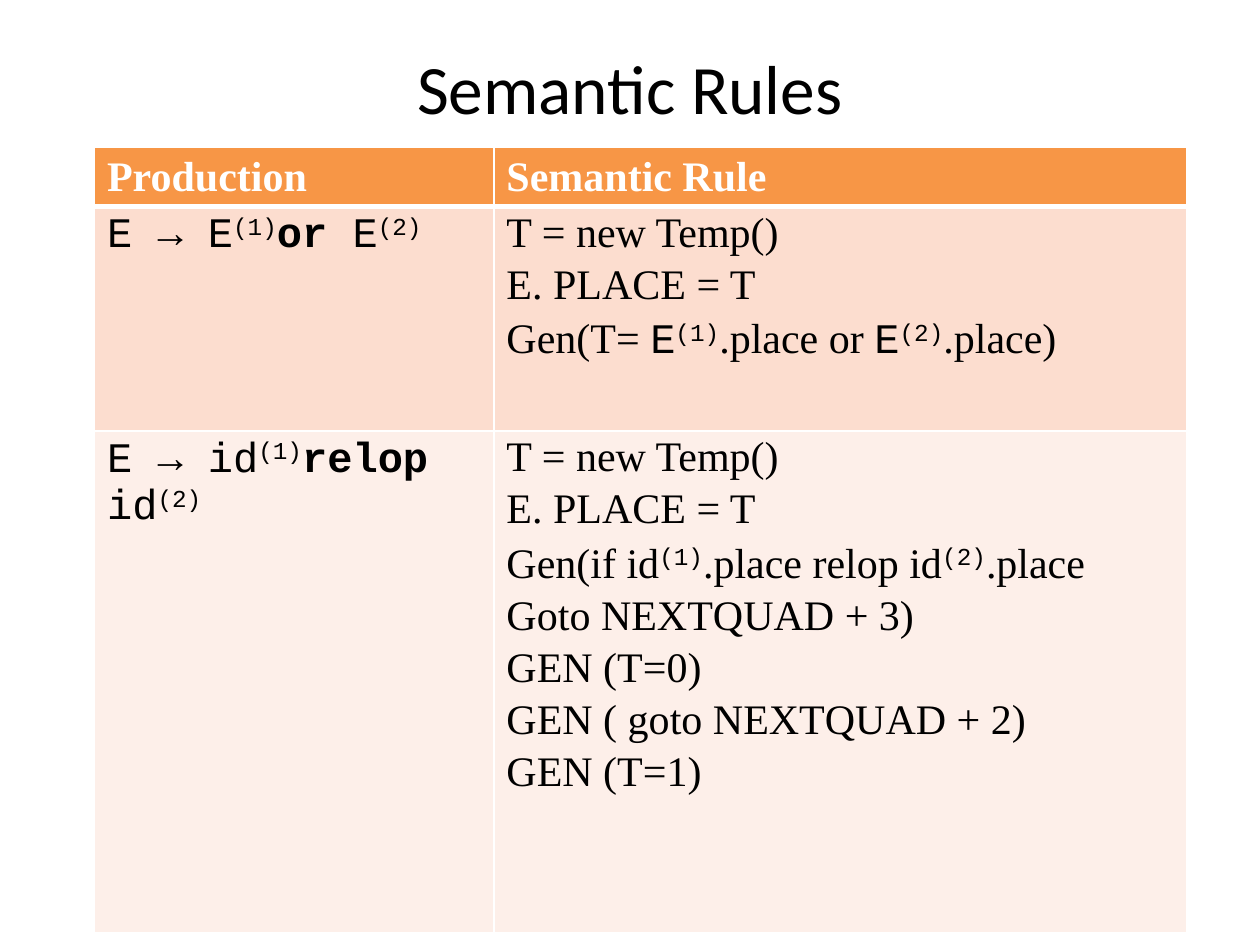
from dataclasses import dataclass

from lxml import etree
from pptx import Presentation
from pptx.dml.color import RGBColor
from pptx.enum.text import MSO_ANCHOR, PP_ALIGN
from pptx.oxml.ns import qn
from pptx.util import Inches, Pt

CENTER, MIDDLE = PP_ALIGN.CENTER, MSO_ANCHOR.MIDDLE
TITLE_ONLY = 5
SERIF, MONO = "Times New Roman", "Courier New"
BLACK, WHITE = "000000", "FFFFFF"
COLUMN_WIDTHS = (3.17, 5.5)
ROW_HEIGHTS = (0.41, 1.78, 3.98)
ROW_FILLS = ("F79646", "FCDDCF", "FDEFE9")


@dataclass(frozen=True)
class Span:
    text: str
    font: str = SERIF
    bold: bool = False
    raised: bool = False


Line = list[Span]


def mono(text: str, bold: bool = False) -> Span:
    return Span(text, MONO, bold)


def index(number: int) -> Span:
    return Span(f"({number})", MONO, raised=True)


def plain(*texts: str) -> list[Line]:
    return [[Span(text)] for text in texts]


NEW_PLACE = plain("T = new Temp()", "E. PLACE = T")
OR_PRODUCTION = [[mono("E → E"), index(1), mono("or", True), mono(" E"), index(2)]]
OR_RULE = NEW_PLACE + [
    [Span("Gen(T= "), mono("E"), index(1), Span(".place or "),
     mono("E"), index(2), Span(".place)")],
]
RELOP_PRODUCTION = [
    [mono("E → id"), index(1), mono("relop", True), mono(" id"), index(2)],
]
RELOP_RULE = NEW_PLACE + [
    [Span("Gen(if id"), index(1), Span(".place relop id"), index(2), Span(".place")],
] + plain("Goto NEXTQUAD + 3)", "GEN (T=0)", "GEN ( goto NEXTQUAD + 2)", "GEN (T=1)")

HEADINGS = [[[Span(text, bold=True)]] for text in ("Production", "Semantic Rule")]
ROWS = [HEADINGS, [OR_PRODUCTION, OR_RULE], [RELOP_PRODUCTION, RELOP_RULE]]


def rgb(value: str) -> RGBColor:
    return RGBColor.from_string(value)


def add_span(paragraph, span: Span, size: float, color: str) -> None:
    run = paragraph.add_run()
    run.text = span.text
    run.font.name, run.font.size, run.font.bold = span.font, Pt(size), span.bold
    run.font.color.rgb = rgb(color)
    if span.raised:
        run.font._element.set("baseline", "30000")


def write_lines(cell, lines: list[Line], color: str, spaced: bool) -> None:
    frame = cell.text_frame
    for position, line in enumerate(lines):
        paragraph = frame.add_paragraph() if position else frame.paragraphs[0]
        if spaced:
            paragraph.line_spacing = 0.93
            paragraph.space_before = Pt(5)
        for span in line:
            add_span(paragraph, span, 24, color)


def add_borders(cell, bottom: float) -> None:
    properties = cell._tc.get_or_add_tcPr()
    for side, width in (("L", 1), ("R", 1), ("T", 1), ("B", bottom)):
        border = etree.SubElement(properties, qn(f"a:ln{side}"), w=str(Pt(width)))
        fill = etree.SubElement(border, qn("a:solidFill"))
        etree.SubElement(fill, qn("a:srgbClr"), val=WHITE)


def add_title(slide) -> None:
    title = slide.shapes.title
    title.left, title.top = Inches(0.5), Inches(0.3)
    title.width, title.height = Inches(9), Inches(0.78)
    frame = title.text_frame
    frame.vertical_anchor = MIDDLE
    heading = frame.paragraphs[0]
    heading.alignment = CENTER
    add_span(heading, Span("Semantic Rules", "Calibri"), 39.6, BLACK)


def add_rules_table(slide) -> None:
    table = slide.shapes.add_table(
        len(ROWS), len(COLUMN_WIDTHS), Inches(0.75), Inches(1.17),
        Inches(sum(COLUMN_WIDTHS)), Inches(sum(ROW_HEIGHTS))).table
    for column, width in zip(table.columns, COLUMN_WIDTHS):
        column.width = Inches(width)
    for r, contents in enumerate(ROWS):
        table.rows[r].height = Inches(ROW_HEIGHTS[r])
        is_header = r == 0
        for c, lines in enumerate(contents):
            cell = table.cell(r, c)
            add_borders(cell, 3 if is_header else 1)
            cell.fill.solid()
            cell.fill.fore_color.rgb = rgb(ROW_FILLS[r])
            write_lines(cell, lines, WHITE if is_header else BLACK,
                        spaced=not is_header and c == 1)


def main() -> None:
    presentation = Presentation()
    presentation.slide_width, presentation.slide_height = Inches(10), Inches(7.5)
    slide = presentation.slides.add_slide(presentation.slide_layouts[TITLE_ONLY])
    add_title(slide)
    add_rules_table(slide)
    presentation.save("out.pptx")


if __name__ == "__main__":
    main()
